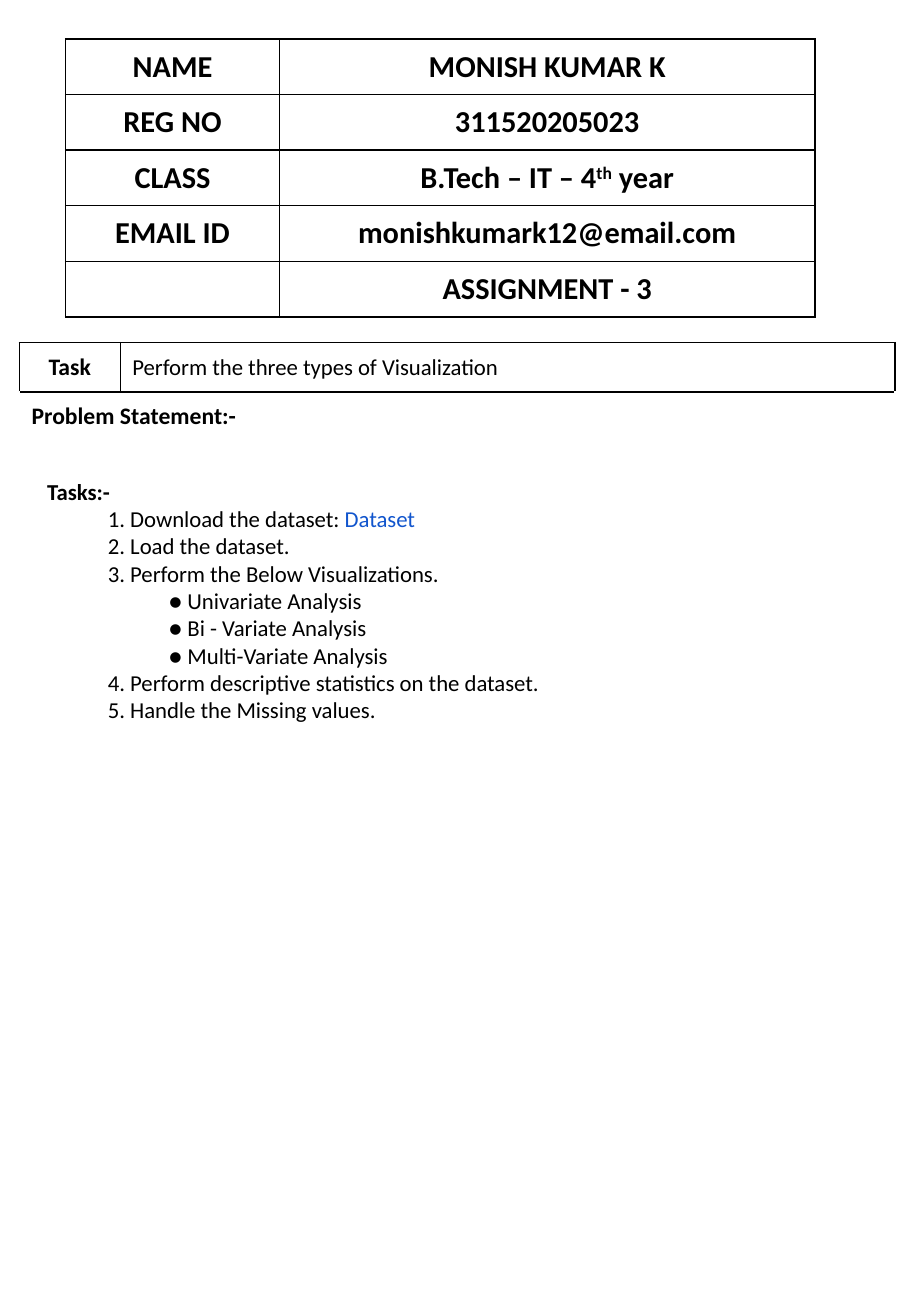
from lxml import etree
from pptx import Presentation
from pptx.dml.color import RGBColor
from pptx.enum.text import MSO_ANCHOR, MSO_AUTO_SIZE, PP_ALIGN
from pptx.oxml.ns import qn
from pptx.util import Inches, Pt

CENTER, LEFT, JUSTIFY = PP_ALIGN.CENTER, PP_ALIGN.LEFT, PP_ALIGN.JUSTIFY
MIDDLE = MSO_ANCHOR.MIDDLE
GROW = MSO_AUTO_SIZE.SHAPE_TO_FIT_TEXT
WIDTH, HEIGHT = Inches(7.5), Inches(10.83)
FONT, BLACK, BLUE = "Calibri", "000000", "1155CD"
INDENT = Inches(0.5)

DETAILS = [
    ("NAME", "MONISH KUMAR K"),
    ("REG NO", "311520205023"),
    ("CLASS", "B.Tech – IT – 4"),
    ("EMAIL ID", "monishkumark12@email.com"),
    ("", "ASSIGNMENT - 3"),
]
TASKS = [
    (0, "Tasks:-"),
    (1, "1. Download the dataset: "),
    (1, "2. Load the dataset."),
    (1, "3. Perform the Below Visualizations."),
    (2, "● Univariate Analysis"),
    (2, "● Bi - Variate Analysis"),
    (2, "● Multi-Variate Analysis"),
    (1, "4. Perform descriptive statistics on the dataset."),
    (1, "5. Handle the Missing values."),
]


def across(percent):
    """Return a percentage of the slide's width as a length."""
    return int(WIDTH * percent / 100)


def down(percent):
    """Return a percentage of the slide's height as a length."""
    return int(HEIGHT * percent / 100)


def color(value):
    """Turn a hex string into a colour."""
    return RGBColor.from_string(value)


def add_text(paragraph, text, size=13.5, bold=False, fill=BLACK, raised=False):
    """Append a formatted run to a paragraph."""
    run = paragraph.add_run()
    run.text = text
    run.font.name = FONT
    run.font.size = Pt(size)
    run.font.bold = bold
    run.font.color.rgb = color(fill)
    if raised:
        run.font._element.set("baseline", "30000")


def add_borders(cell, sides):
    """Draw thin black lines on the given sides of a cell."""
    properties = cell._tc.get_or_add_tcPr()
    for position, side in enumerate(sides):
        line = etree.Element(qn(f"a:ln{side}"), w=str(Pt(1)))
        fill = etree.SubElement(line, qn("a:solidFill"))
        etree.SubElement(fill, qn("a:srgbClr"), val=BLACK)
        properties.insert(position, line)


def add_grid(slide, left, top, columns, row_height, row_count):
    """Add an unstyled table sized in percentages of the slide."""
    frame = slide.shapes.add_table(
        row_count, len(columns), across(left), down(top),
        across(sum(columns)), down(row_height * row_count))
    table = frame.table
    table.first_row = table.horz_banding = False
    for column, width in zip(table.columns, columns):
        column.width = across(width)
    for row in table.rows:
        row.height = down(row_height)
    return table


def fill_cell(cell, text, alignment=CENTER, sides="LRTB", **text_format):
    """Write a cell's text and set its alignment, fill and borders."""
    cell.fill.background()
    cell.vertical_anchor = MIDDLE
    add_borders(cell, sides)
    paragraph = cell.text_frame.paragraphs[0]
    paragraph.alignment = alignment
    if text:
        add_text(paragraph, text, **text_format)
    return paragraph


def add_details(slide):
    """Add the table of student details."""
    table = add_grid(slide, 7.2, 2.95, [23.47, 58.8], 4.23, len(DETAILS))
    heading = {"size": 18, "bold": True}
    for row, texts in enumerate(DETAILS):
        for column, text in enumerate(texts):
            paragraph = fill_cell(table.cell(row, column), text, **heading)
            if texts[0] == "CLASS" and column == 1:
                add_text(paragraph, "th", raised=True, **heading)
                add_text(paragraph, " year", **heading)


def add_task(slide):
    """Add the task table with the problem statement below it."""
    table = add_grid(slide, 2.13, 26.04, [11.07, 85.07], 3.74, 2)
    fill_cell(table.cell(0, 0), "Task", size=14, bold=True)
    fill_cell(table.cell(0, 1), "Perform the three types of Visualization", JUSTIFY)
    statement = table.cell(1, 0)
    statement.merge(table.cell(1, 1))
    fill_cell(statement, "Problem Statement:-", LEFT, "T", size=14, bold=True)


def add_task_list(slide):
    """Add the indented list of tasks."""
    box = slide.shapes.add_textbox(
        across(3.87), down(35.83), across(94.4), down(19.85))
    frame = box.text_frame
    frame.word_wrap = True
    frame.auto_size = GROW
    for position, (level, text) in enumerate(TASKS):
        paragraph = frame.add_paragraph() if position else frame.paragraphs[0]
        paragraph._p.get_or_add_pPr().set("marL", str(level * INDENT))
        add_text(paragraph, text, bold=level == 0)
        if text.endswith("dataset: "):
            add_text(paragraph, "Dataset", fill=BLUE)


def main():
    """Build the assignment sheet and save it."""
    presentation = Presentation()
    presentation.slide_width, presentation.slide_height = WIDTH, HEIGHT
    slide = presentation.slides.add_slide(presentation.slide_layouts[6])
    add_details(slide)
    add_task(slide)
    add_task_list(slide)
    presentation.save("out.pptx")


if __name__ == "__main__":
    main()
